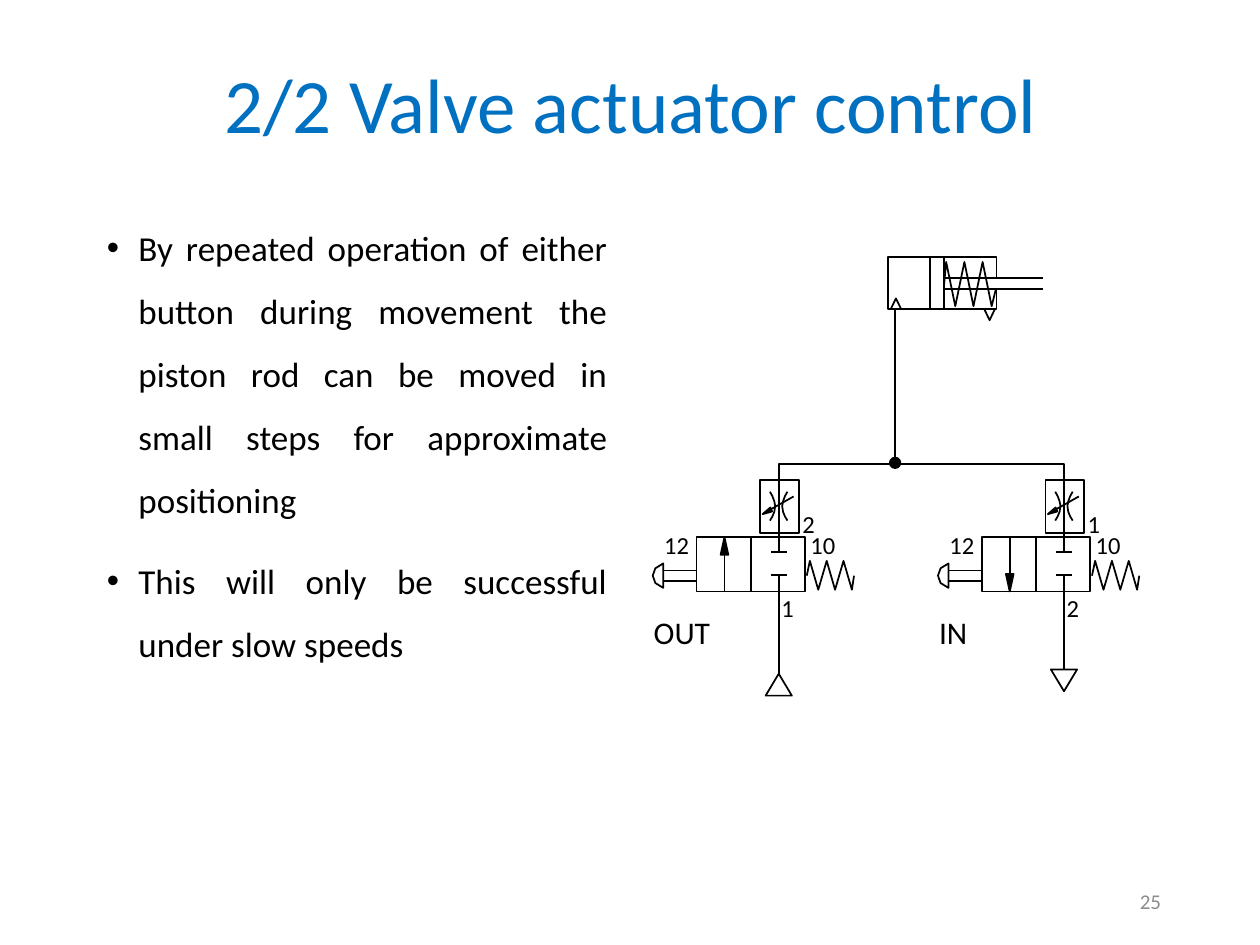
"""Builds the slide on actuator control with two 2/2 valves."""
from dataclasses import dataclass

from lxml import etree
from pptx import Presentation
from pptx.dml.color import RGBColor
from pptx.enum import shapes as es, text as et
from pptx.oxml import ns
from pptx.util import Pt


@dataclass(frozen=True)
class Theme:
    """Colours, font and type sizes."""
    font: str = "Calibri"
    blue: str = "0070C0"
    ink: str = "000000"
    grey: str = "8C8C8C"
    head: int = 44
    body: int = 20
    tag: int = 18
    port: int = 14
    foot: int = 12
    line: int = 1


T = Theme()
TOP, BASE = 307, 338
OUT, IN = 445, 608
POINTS = [
    "By repeated operation of either button during movement the piston rod "
    "can be moved in small steps for approximate positioning",
    "This will only be successful under slow speeds",
]


def style(par, size, hue=T.ink):
    """Set the font of a paragraph."""
    par.font.name, par.font.size = T.font, Pt(size)
    par.font.color.rgb = RGBColor.from_string(hue)


def ink(item, solid=False):
    """Give a shape the standard outline and an empty or solid fill."""
    item.shadow.inherit = False
    item.line.color.rgb = RGBColor.from_string(T.ink)
    item.line.width = Pt(T.line)
    if solid:
        item.fill.solid()
        item.fill.fore_color.rgb = RGBColor.from_string(T.ink)
    else:
        item.fill.background()


def line(host, x1, y1, x2, y2):
    """Draw a straight line."""
    item = host.add_connector(
        es.MSO_CONNECTOR.STRAIGHT, Pt(x1), Pt(y1), Pt(x2), Pt(y2))
    item.line.color.rgb = RGBColor.from_string(T.ink)
    item.line.width = Pt(T.line)
    etree.SubElement(item._element.spPr, ns.qn("a:effectLst"))


def trace(host, dots, close=False, solid=False):
    """Draw an outline through the given points."""
    dots = [(Pt(x), Pt(y)) for x, y in dots]
    pen = host.build_freeform(*dots[0], scale=1.0)
    pen.add_line_segments(dots[1:], close=close)
    ink(pen.convert_to_shape(), solid)


def preset(host, kind, x, y, wide, high, solid=False):
    """Draw a preset shape."""
    item = host.add_shape(kind, Pt(x), Pt(y), Pt(wide), Pt(high))
    ink(item, solid)
    return item


def label(host, words, x, y, wide, size):
    """Write a short label on one line."""
    box = host.add_textbox(Pt(x), Pt(y), Pt(wide), Pt(size * 1.22 + 7.2))
    box.text_frame.word_wrap = False
    box.text_frame.auto_size = et.MSO_AUTO_SIZE.SHAPE_TO_FIT_TEXT
    par = box.text_frame.paragraphs[0]
    par.text = words
    style(par, size)


def spring(host, start, near, step, end, mid, low, high):
    """Draw a zigzag spring of six strokes between two half strokes."""
    zig = [(near + i * step, high if i % 2 else low) for i in range(6)]
    trace(host, [(start, mid)] + zig + [end])


def valve(host, x, rise):
    """Draw a push-button valve with spring return around port line x."""
    left, flow = x - 47, x - 31
    trace(host, [(left, TOP), (left, BASE), (x + 15, BASE), (x + 15, TOP)], True)
    line(host, x - 16, TOP, x - 16, BASE)
    line(host, flow, TOP, flow, BASE)
    tip, tail = (TOP, TOP + 10) if rise else (BASE, BASE - 10)
    trace(host, [(flow, tip), (flow - 2.2, tail), (flow + 2.2, tail)], True, True)
    for edge, bar in ((TOP, 315.5), (BASE, 328.5)):
        line(host, x, edge, x, bar)
        line(host, x - 4.5, bar, x + 4.5, bar)
    spring(host, x + 16, x + 17.8, 4.8, (x + 43, 329), 329, 320.5, 337)
    trace(host, [(x - 66, 322), (x - 70.5, 324.8), (x - 72, 329),
                 (x - 70.5, 333.2), (x - 66, 336)], True)
    for y in (326, 332):
        line(host, x - 65.5, y, left, y)
    label(host, "12", x - 72.5, 299.5, 30, T.port)
    label(host, "10", x + 11, 299.5, 30, T.port)


def choke(host, x):
    """Draw an adjustable flow restrictor on line x."""
    trace(host, [(x - 10.5, 274.5), (x + 11.5, 274.5),
                 (x + 11.5, 304.5), (x - 10.5, 304.5)], True)
    line(host, x + 8.5, 283.7, x - 8, 293)
    trace(host, [(x - 9.2, 293.8), (x - 3.8, 292.3), (x - 4.8, 290)], True, True)
    bow = [(5, 281), (3.6, 283.5), (2.5, 286.5), (2, 289.2),
           (2.5, 292.5), (3.6, 295.2), (5, 297.5)]
    for side in (-1, 1):
        trace(host, [(x + side * dx, y) for dx, y in bow])


def branch(host, x, name, wide, rise, ports):
    """Draw one valve with its restrictor, port numbers and end symbol."""
    valve(host.add_group_shape().shapes, x, rise)
    choke(host.add_group_shape().shapes, x)
    end = 385 if rise else 382.5
    line(host, x, BASE, x, end)
    mark = preset(host, es.MSO_SHAPE.ISOSCELES_TRIANGLE, x - 7.5, end, 15, 12.5)
    mark.rotation = 0 if rise else 180
    label(host, ports[0], x + 6.5, 287.5, 22, T.port)
    label(host, ports[1], x - 5.5, 335.5, 22, T.port)
    label(host, name, x - 78.5, 347, wide, T.tag)


def ram(host):
    """Draw the spring-return cylinder."""
    for y in (159, 165):
        line(host, 539.5, y, 596, y)
    for x in (531.5, 539.5):
        line(host, x, 147, x, 177)
    trace(host, [(569.5, 158.5), (569.5, 147), (507.5, 147),
                 (507.5, 176.7), (569.5, 176.7), (569.5, 165)])
    spring(host, 539.5, 540.7, 5.2, (569, 165.5), 162.5, 149.7, 175)
    for x, tip in ((509, 170.5), (562.5, 183)):
        trace(host, [(x, 176.7), (x + 3, tip), (x + 6, 176.7)])


def body(host):
    """Write the bullet text."""
    box = host.add_textbox(Pt(54), Pt(114), Pt(300), Pt(354))
    frame = box.text_frame
    frame.word_wrap = True
    for i, words in enumerate(POINTS):
        par = frame.add_paragraph() if i else frame.paragraphs[0]
        par.text = words
        prop = par._p.get_or_add_pPr()
        prop.set("marL", str(Pt(18)))
        prop.set("indent", str(-Pt(18)))
        etree.SubElement(prop, ns.qn("a:buFont"), typeface="Arial")
        etree.SubElement(prop, ns.qn("a:buChar"), char="•")
        par.alignment = et.PP_ALIGN.JUSTIFY
        par.line_spacing = 1.5
        par.space_before = Pt(10 if i else 0)
        style(par, T.body)


def title(slide):
    """Place and format the title."""
    head = slide.shapes.title
    head.left, head.top, head.width, head.height = map(Pt, (91.5, 33, 538, 58.5))
    head.text_frame.text = "2/2 Valve actuator control"
    head.text_frame.vertical_anchor = et.MSO_ANCHOR.MIDDLE
    par = head.text_frame.paragraphs[0]
    par.alignment = et.PP_ALIGN.CENTER
    par.line_spacing = 0.9
    style(par, T.head, T.blue)


def folio(host):
    """Write the slide number."""
    box = host.add_textbox(Pt(508.5), Pt(500.5), Pt(162), Pt(28.8))
    box.text_frame.word_wrap = True
    box.text_frame.vertical_anchor = et.MSO_ANCHOR.MIDDLE
    par = box.text_frame.paragraphs[0]
    par.text = "25"
    par.alignment = et.PP_ALIGN.RIGHT
    style(par, T.foot, T.grey)


def main():
    """Build and save the slide."""
    deck = Presentation()
    deck.slide_width, deck.slide_height = Pt(720), Pt(540)
    slide = deck.slides.add_slide(deck.slide_layouts[5])
    host = slide.shapes
    title(slide)
    body(host)
    ram(host)
    branch(host, OUT, "OUT", 52.5, True, "21")
    branch(host, IN, "IN", 32.5, False, "12")
    trace(host, [(OUT, TOP), (OUT, 265), (IN, 265), (IN, TOP)])
    line(host, 511.5, 177, 511.5, 265)
    preset(host, es.MSO_SHAPE.OVAL, 508.5, 261.5, 6, 6, True)
    folio(host)
    deck.save("out.pptx")


if __name__ == "__main__":
    main()
